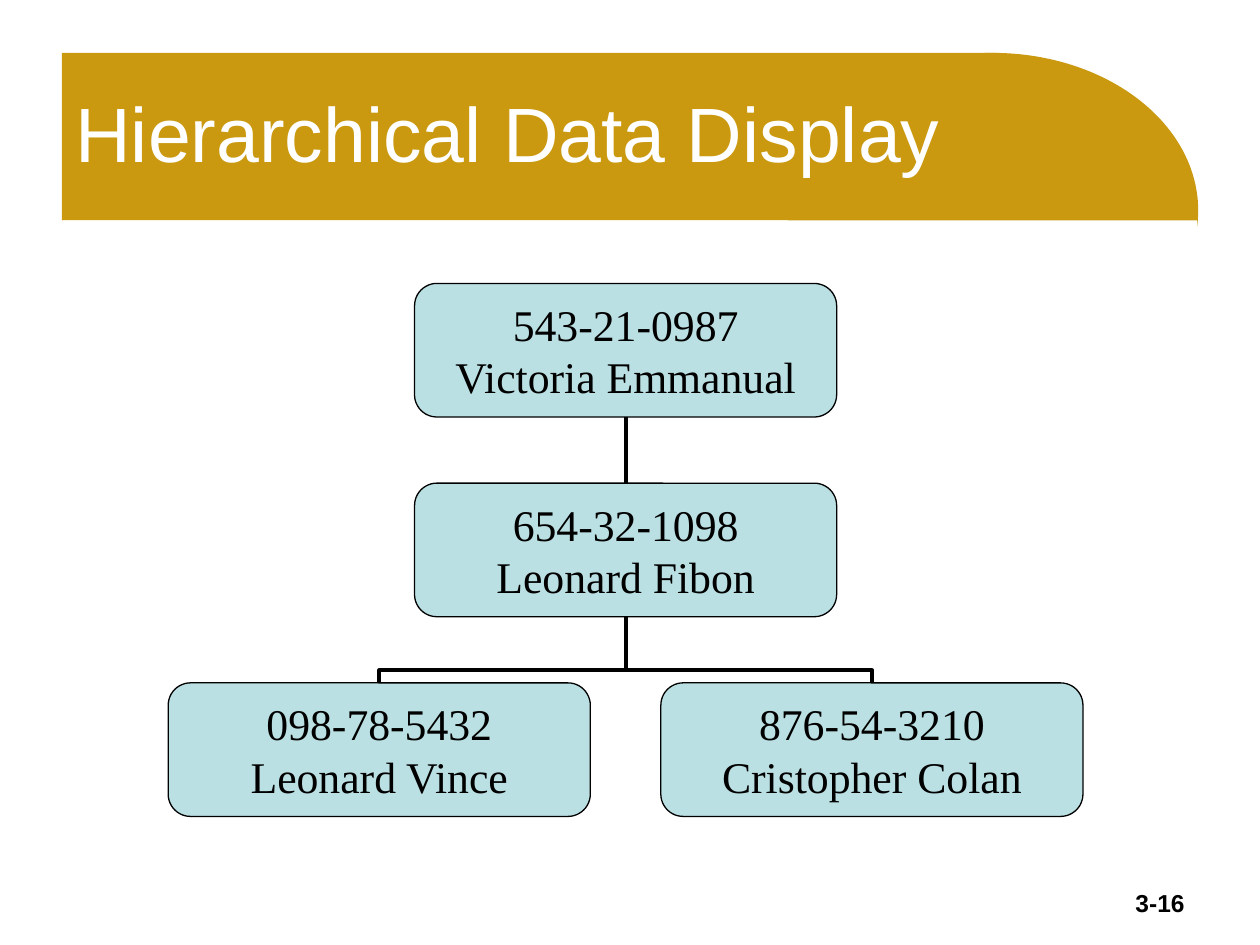
from lxml.etree import SubElement
from pptx import Presentation
from pptx.dml.color import RGBColor
from pptx.enum.shapes import MSO_CONNECTOR as Link, MSO_SHAPE as Shape
from pptx.enum.text import MSO_ANCHOR as Anchor, PP_ALIGN as Align
from pptx.oxml.ns import qn
from pptx.util import Inches, Pt

GOLD, WHITE, BLACK, PALE = "CA9910", "FFFFFF", "000000", "BBE0E3"
COLS, ROWS = 100, 75
NODE_W, NODE_H = 33.5, 10.6
ROOT_X, ROOT_Y = 49.65, 22.5
BRANCH, LEVEL = 19.55, 15.85
PEOPLE = [
    (0, 0, "543-21-0987", "Victoria Emmanual"),
    (0, 1, "654-32-1098", "Leonard Fibon"),
    (-1, 2, "098-78-5432", "Leonard Vince"),
    (1, 2, "876-54-3210", "Cristopher Colan"),
]


def color(value):
    """Turn a hex string into a colour."""
    return RGBColor.from_string(value)


class Deck:
    """Hold the style and the current slide, measured in grid cells."""

    def __init__(self):
        """Start a presentation with one blank slide."""
        self.prs = Presentation()
        self.prs.slide_width, self.prs.slide_height = Inches(10), Inches(7.5)
        self.s = self.prs.slides.add_slide(self.prs.slide_layouts[6])

    def cells(self, *values):
        """Convert alternating columns and rows to lengths."""
        units = (self.prs.slide_width / COLS, self.prs.slide_height / ROWS)
        return [round(v * units[i % 2]) for i, v in enumerate(values)]

    def shape(self, kind, box, fill, line=None):
        """Add a filled preset shape."""
        sp = self.s.shapes.add_shape(kind, *self.cells(*box))
        sp.shadow.inherit = False
        sp.fill.solid()
        sp.fill.fore_color.rgb = color(fill)
        if line:
            sp.line.color.rgb = color(line)
            sp.line.width = Pt(0.75)
        else:
            sp.line.fill.background()
        return sp

    def add_lines(self, tf, lines, size, font, ink, align, bold=False):
        """Add one paragraph for each line."""
        for i, line in enumerate(lines):
            p = tf.add_paragraph() if i else tf.paragraphs[0]
            p.alignment = align
            r = p.add_run()
            r.text = line
            r.font.name, r.font.size, r.font.bold = font, Pt(size), bold
            r.font.color.rgb = color(ink)

    def text(self, box, line, size, ink, align=Align.LEFT, anchor=Anchor.TOP, bold=False):
        """Add a wrapped text box."""
        tf = self.s.shapes.add_textbox(*self.cells(*box)).text_frame
        tf.word_wrap, tf.vertical_anchor = True, anchor
        self.add_lines(tf, [line], size, "Arial", ink, align, bold)

    def node(self, side, level, lines):
        """Add a person at a place in the tree."""
        box = (ROOT_X + side * BRANCH - NODE_W / 2, ROOT_Y + level * LEVEL, NODE_W, NODE_H)
        sp = self.shape(Shape.ROUNDED_RECTANGLE, box, PALE, BLACK)
        sp.adjustments[0] = 0.167
        tf = sp.text_frame
        tf.margin_left = tf.margin_right = tf.margin_top = tf.margin_bottom = 0
        tf.word_wrap, tf.vertical_anchor = False, Anchor.MIDDLE
        self.add_lines(tf, lines, 25, "Times New Roman", BLACK, Align.CENTER)
        return sp

    def connector(self, kind, ends):
        """Add a plain black connector."""
        c = self.s.shapes.add_connector(kind, *self.cells(*ends))
        c.line.color.rgb = color(BLACK)
        c.line.width = Pt(2.25)
        SubElement(c._element.spPr, qn("a:effectLst"))
        return c

    def straight(self, parent, child):
        """Join a parent to the child directly below."""
        c = self.connector(Link.STRAIGHT, (0, 0, 1, 1))
        c.begin_connect(child, 0)
        c.end_connect(parent, 2)

    def elbow(self, side, level):
        """Join a child at one side to its parent with a turned elbow."""
        rise = LEVEL - NODE_H
        x = ROOT_X + side * BRANCH / 2
        y = ROOT_Y + level * LEVEL - rise / 2
        dx, dy = side * rise / 2, BRANCH / 2
        c = self.connector(Link.ELBOW, (x - dx, y + dy, x + dx, y - dy))
        pr = c._element.spPr
        pr.find(qn("a:xfrm")).set("rot", str((270 if side > 0 else 90) * 60000))
        guides = pr.find(qn("a:prstGeom")).find(qn("a:avLst"))
        SubElement(guides, qn("a:gd"), name="adj1", fmla="val 19000")


def main():
    """Build the slide and save it."""
    deck = Deck()
    deck.shape(Shape.RECTANGLE, (4.9, 4.2, 74.2, 13.3), GOLD)
    deck.shape(Shape.OVAL, (62.5, 4.2, 32.6, 25), GOLD)
    deck.text((71.5, 70, 23.5, 3.4), "3-16", 14, BLACK, Align.RIGHT, bold=True)
    deck.shape(Shape.RECTANGLE, (5, 17.5, 90, 51.7), WHITE)
    deck.text((5, 4.2, 87.5, 12.5), "Hierarchical Data Display", 44, WHITE, anchor=Anchor.MIDDLE)
    for side in (1, -1):
        deck.elbow(side, 2)
    nodes = [deck.node(side, level, lines) for side, level, *lines in PEOPLE]
    deck.straight(nodes[0], nodes[1])
    deck.prs.save("out.pptx")


if __name__ == "__main__":
    main()
